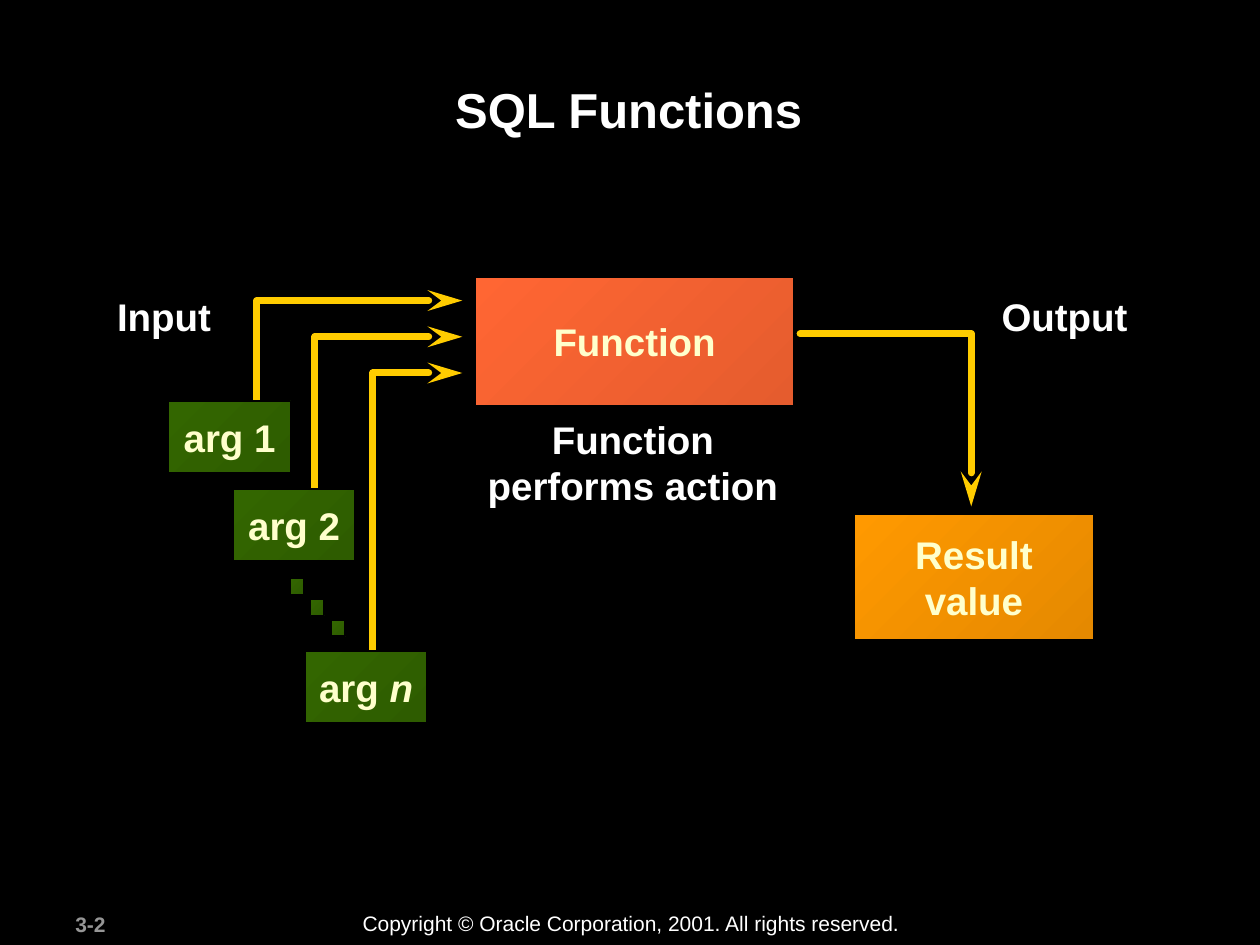
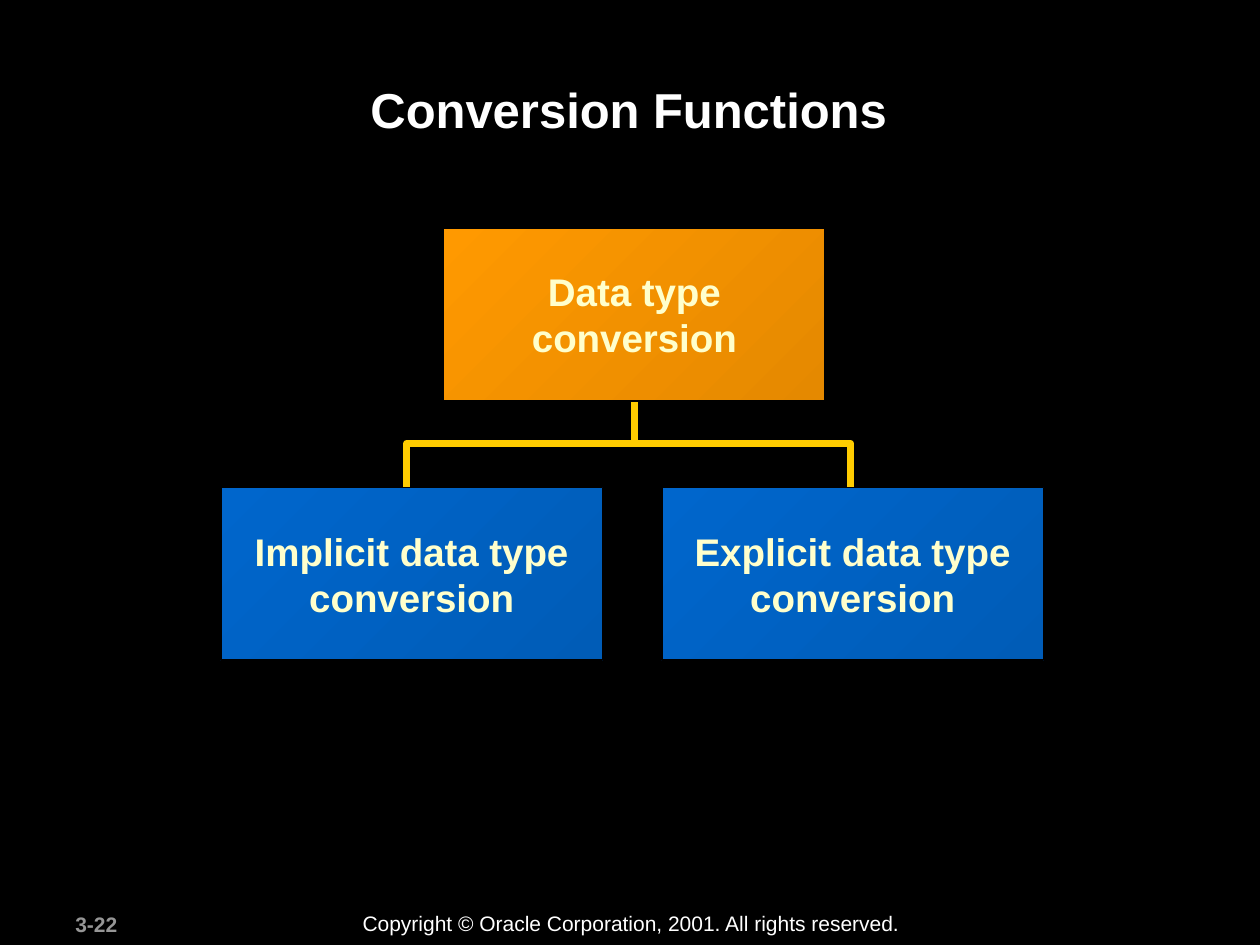
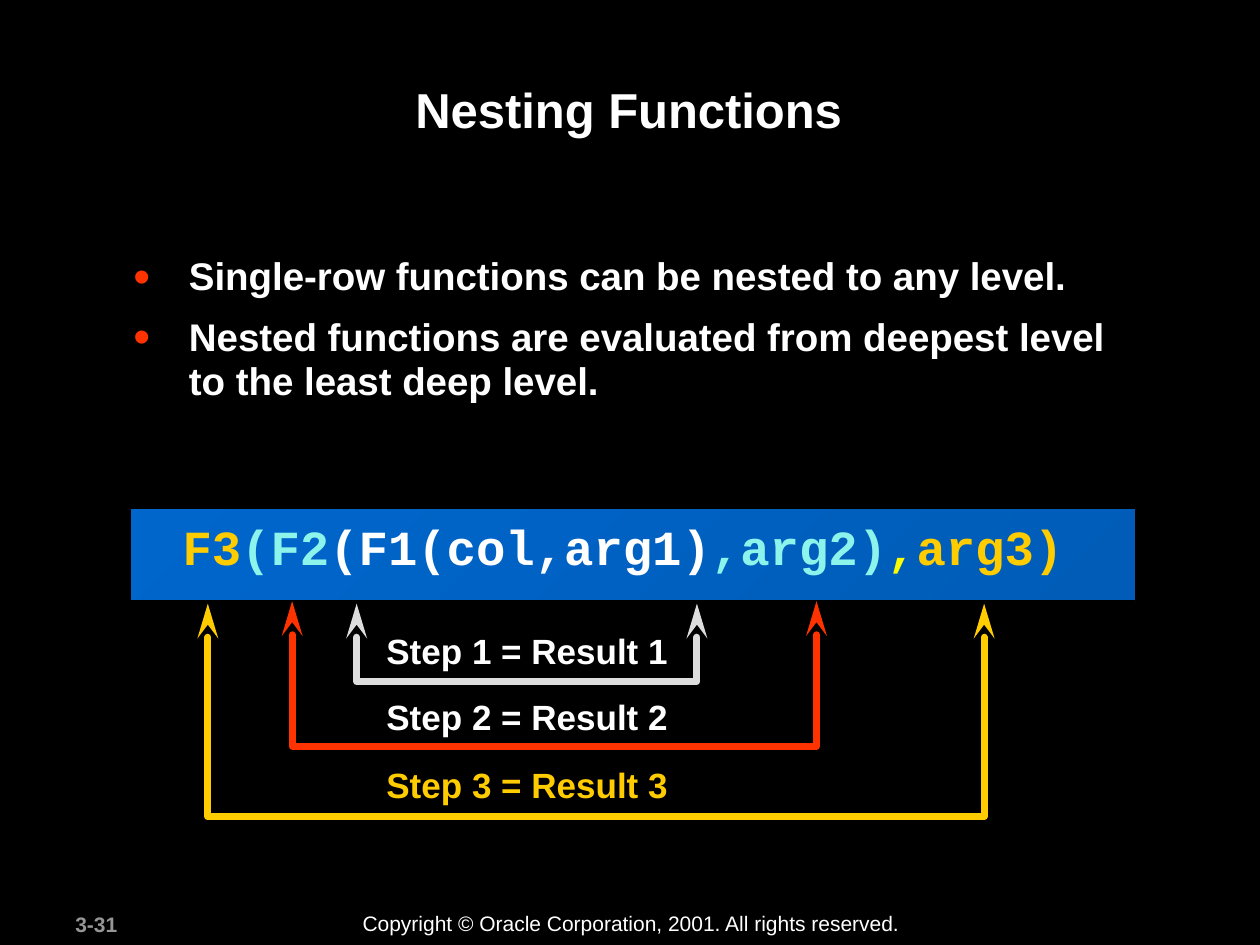
from lxml.etree import SubElement
from pptx import Presentation
from pptx.dml.color import RGBColor
from pptx.enum.shapes import MSO_CONNECTOR, MSO_SHAPE
from pptx.enum.text import MSO_ANCHOR, PP_ALIGN
from pptx.oxml.ns import qn
from pptx.util import Cm, Pt

BLACK = RGBColor(0x00, 0x00, 0x00)
WHITE = RGBColor(0xFF, 0xFF, 0xFF)
GREY = RGBColor(0x96, 0x96, 0x96)
SILVER = RGBColor(0xDD, 0xDD, 0xDD)
CREAM = RGBColor(0xFF, 0xFF, 0xCC)
GOLD = RGBColor(0xFF, 0xCC, 0x00)
YELLOW = RGBColor(0xFA, 0xFD, 0x00)
AQUA = RGBColor(0x8C, 0xF4, 0xEA)
RED = RGBColor(0xFF, 0x33, 0x00)
CORAL = (RGBColor(0xFF, 0x66, 0x33), RGBColor(0xE5, 0x5C, 0x2E))
ORANGE = (RGBColor(0xFF, 0x99, 0x00), RGBColor(0xE5, 0x89, 0x00))
GREEN = (RGBColor(0x33, 0x66, 0x00), RGBColor(0x2E, 0x5C, 0x00))
BLUE = (RGBColor(0x00, 0x66, 0xCC), RGBColor(0x00, 0x5C, 0xB7))


class Deck:
    """Holds the shared style and the slide being built."""

    font = "Arial"
    code_font = "Courier New"
    copyright = "Copyright © Oracle Corporation, 2001. All rights reserved."

    def __init__(self):
        """Open a black 4:3 presentation."""
        self.prs = Presentation()
        self.prs.slide_width, self.prs.slide_height = Cm(25.4), Cm(19.05)
        fill = self.prs.slide_master.background.fill
        fill.solid()
        fill.fore_color.rgb = BLACK

    def new_slide(self, title, number):
        """Start a slide with its title and footer."""
        self.s = self.prs.slides.add_slide(self.prs.slide_layouts[6])
        self.text(1.27, 18.26, 2.67, 0.76, [number], 12, GREY)
        self.text(7.06, 18.24, 11.38, 0.76, [self.copyright], 12, bold=False)
        self.text(2.39, 1.47, 20.57, 2.44, [title], 28, align=PP_ALIGN.CENTER, wrap=True)

    def add_lines(self, tf, lines, size, color, align=PP_ALIGN.LEFT, bold=True, font=font):
        """Add one paragraph per line; a line is a string or (text, changes) runs."""
        for i, line in enumerate(lines):
            p = tf.paragraphs[0] if i == 0 else tf.add_paragraph()
            p.alignment = align
            for text, changes in [(line, {})] if isinstance(line, str) else line:
                r = p.add_run()
                r.text = text
                r.font.name, r.font.size = font, Pt(size)
                r.font.bold, r.font.italic = bold, changes.get("italic")
                r.font.color.rgb = changes.get("color", color)

    def text(self, x, y, w, h, lines, size=22, color=WHITE, wrap=False, **style):
        """Add a text box and return its frame."""
        tf = self.s.shapes.add_textbox(Cm(x), Cm(y), Cm(w), Cm(h)).text_frame
        tf.word_wrap = wrap
        self.add_lines(tf, lines, size, color, **style)
        return tf

    def bullets(self, x, y, w, h, lines):
        """Add a bulleted list with red dots."""
        tf = self.text(x, y, w, h, lines, wrap=True)
        for i, p in enumerate(tf.paragraphs):
            p.line_spacing = 0.95
            if i:
                p.space_before = Pt(9.6)
            pPr = p._p.get_or_add_pPr()
            pPr.set("marL", str(Cm(1.12)))
            pPr.set("indent", str(-Cm(1.12)))
            SubElement(SubElement(pPr, qn("a:buClr")), qn("a:srgbClr"), val=str(RED))
            SubElement(pPr, qn("a:buSzPct"), val="125000")
            SubElement(pPr, qn("a:buFont"), typeface=self.font)
            SubElement(pPr, qn("a:buChar"), char="•")

    def code(self, x, y, w, h, runs):
        """Add one line of coloured code."""
        tf = self.text(x, y, w, h, [runs], 28, font=self.code_font)
        tf.paragraphs[0].line_spacing = Pt(22)

    def box(self, x, y, w, h, colors, lines=()):
        """Add a rectangle with a diagonal gradient and centred text."""
        sp = self.s.shapes.add_shape(MSO_SHAPE.RECTANGLE, Cm(x), Cm(y), Cm(w), Cm(h))
        sp.shadow.inherit = False
        sp.fill.gradient()
        sp.fill.gradient_angle = 315
        for stop, color in zip(sp.fill.gradient_stops, colors):
            stop.color.rgb = color
        sp.line.color.rgb, sp.line.width = BLACK, Pt(1)
        tf = sp.text_frame
        tf.word_wrap, tf.vertical_anchor = False, MSO_ANCHOR.MIDDLE
        self.add_lines(tf, lines, 22, CREAM, PP_ALIGN.CENTER)

    def stroke(self, sp, color, ends=()):
        """Give a path the thick rounded line and its arrowheads."""
        sp.line.color.rgb, sp.line.width = color, Pt(4)
        ln = sp.line._get_or_add_ln()
        ln.set("cap", "rnd")
        SubElement(ln, qn("a:round"))
        for end in ends:
            SubElement(ln, qn(f"a:{end}"), type="stealth", w="med", len="lg")

    def path_line(self, points, color=GOLD, ends=()):
        """Add an open path through the points."""
        start, *rest = [(Cm(x), Cm(y)) for x, y in points]
        builder = self.s.shapes.build_freeform(*start)
        builder.add_line_segments(rest, close=False)
        sp = builder.convert_to_shape()
        sp.shadow.inherit = False
        sp.fill.background()
        self.stroke(sp, color, ends)

    def line(self, x1, y1, x2, y2):
        """Add a straight gold line."""
        c = self.s.shapes.add_connector(MSO_CONNECTOR.STRAIGHT, Cm(x1), Cm(y1), Cm(x2), Cm(y2))
        self.stroke(c, GOLD)
        SubElement(c._element.spPr, qn("a:effectLst"))


def sql_functions(d):
    """Show arguments going into a function and a result coming out."""
    d.new_slide("SQL Functions", "3-2")
    d.box(9.58, 5.59, 6.43, 2.59, CORAL, ["Function"])
    d.text(2.11, 5.79, 2.41, 1.19, ["Input"])
    args = [
        (3.4, 8.08, "arg 1"),
        (4.7, 9.86, "arg 2"),
        (6.15, 13.13, [("arg ", {}), ("n", {"italic": True})]),
    ]
    for i, (x, y, label) in enumerate(args):
        bend_x, bend_y = 5.18 + 1.17 * i, 6.06 + 0.73 * i
        d.path_line([(bend_x, y + 0.2), (bend_x, bend_y), (9.32, bend_y)], ends=["tailEnd"])
        d.box(x, y, 2.46, 1.45, GREEN, [label])
    for i in range(3):
        d.box(5.84 + 0.42 * i, 11.66 + 0.42 * i, 0.28, 0.33, GREEN)
    d.text(9.14, 8.26, 7.24, 2.11, ["Function performs action"], align=PP_ALIGN.CENTER, wrap=True)
    d.path_line([(16.13, 6.73), (19.58, 6.73), (19.58, 10.21)], ends=["tailEnd"])
    d.text(19.94, 5.79, 3.05, 1.19, ["Output"])
    d.box(17.22, 10.36, 4.83, 2.54, ORANGE, ["Result", "value"])


def conversion_functions(d):
    """Show the two kinds of data type conversion as a tree."""
    d.new_slide("Conversion Functions", "3-22")
    d.line(12.8, 8.94, 12.8, 7.32)
    d.path_line([(8.2, 10.4), (8.2, 8.94), (17.15, 8.94), (17.15, 10.4)])
    boxes = [
        (4.45, 9.83, BLUE, "Implicit data type"),
        (13.34, 9.83, BLUE, "Explicit data type"),
        (8.94, 4.6, ORANGE, "Data type"),
    ]
    for x, y, colors, kind in boxes:
        d.box(x, y, 7.7, 3.48, colors, [kind, "conversion"])


def nesting_functions(d):
    """Show the order in which nested functions are evaluated."""
    d.new_slide("Nesting Functions", "3-31")
    d.bullets(2.44, 5.03, 20.52, 3.25, [
        "Single-row functions can be nested to any level.",
        "Nested functions are evaluated from deepest level to the least deep level.",
    ])
    d.box(2.62, 10.24, 20.27, 1.88, BLUE)
    d.code(3.43, 10.69, 18.26, 1.04, [
        ("F3", {"color": GOLD}),
        ("(F2", {"color": AQUA}),
        ("(F1(col,arg1)", {}),
        (",arg2)", {"color": AQUA}),
        (",", {"color": YELLOW}),
        ("arg3)", {"color": GOLD}),
    ])
    steps = [
        (12.57, WHITE, SILVER, 7.19, 14.05, 12.17, 13.74),
        (13.89, WHITE, RED, 5.89, 16.46, 12.12, 15.04),
        (15.27, GOLD, GOLD, 4.19, 19.84, 12.17, 16.46),
    ]
    for n, (y, color, line_color, left, right, top, bottom) in enumerate(steps, 1):
        d.text(7.54, y, 6.2, 1.09, [f"Step {n} = Result {n}"], 20, color)
        points = [(left, top), (left, bottom), (right, bottom), (right, top)]
        d.path_line(points, line_color, ["headEnd", "tailEnd"])


def main():
    """Build and save the slides."""
    d = Deck()
    sql_functions(d)
    conversion_functions(d)
    nesting_functions(d)
    d.prs.save("out.pptx")


if __name__ == "__main__":
    main()
